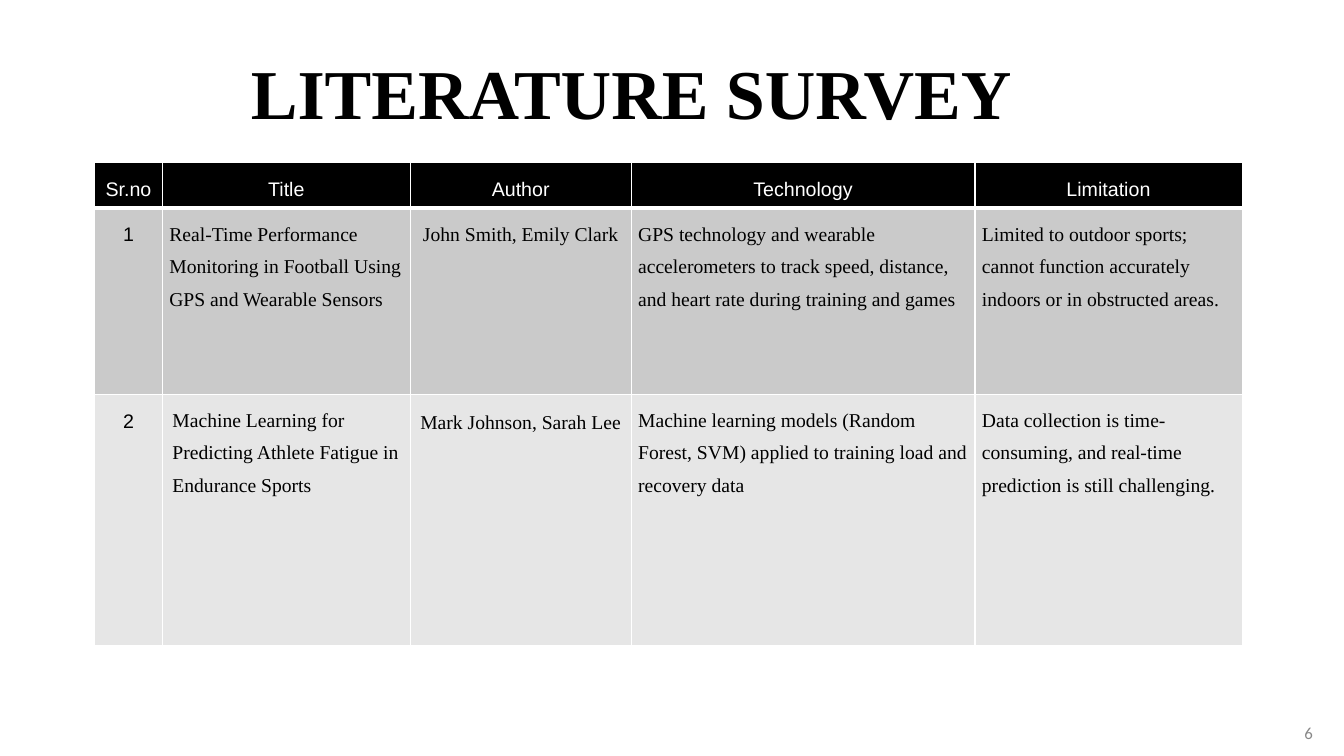
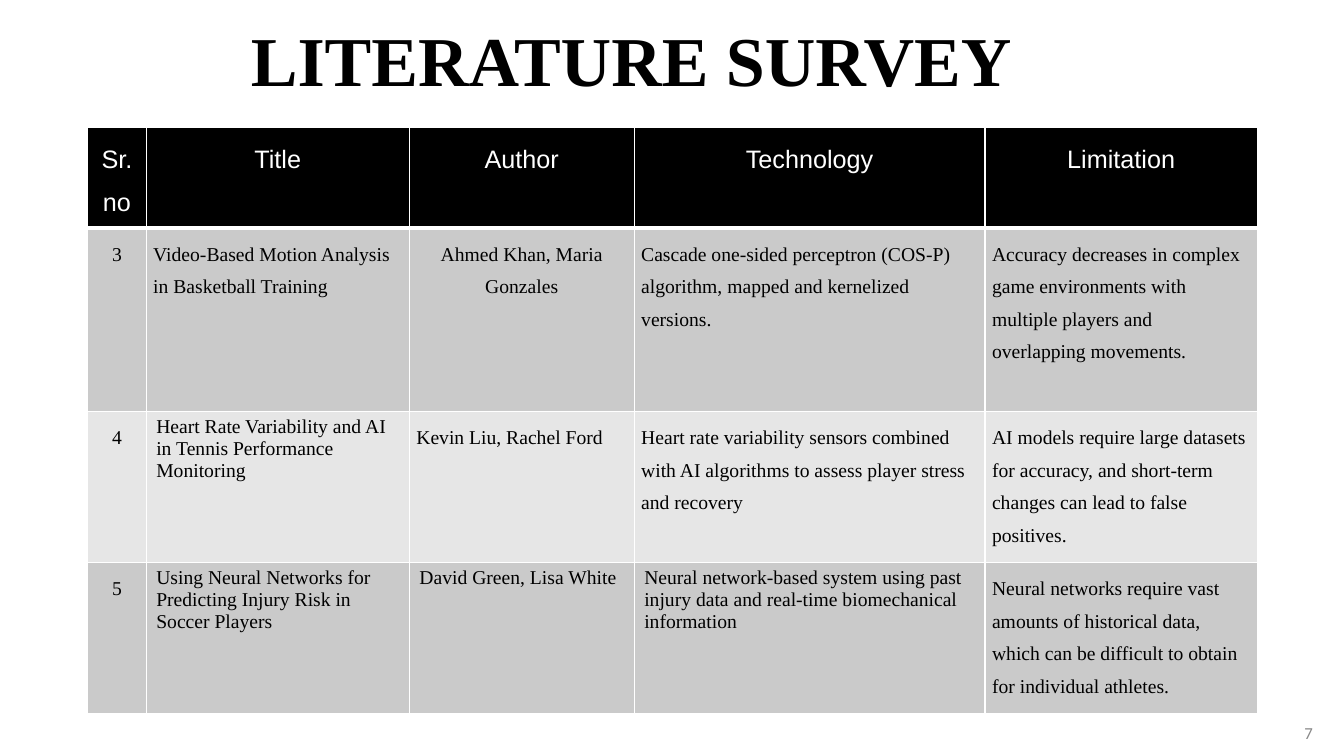
from dataclasses import dataclass

from lxml.etree import SubElement
from pptx import Presentation
from pptx.dml.color import RGBColor
from pptx.enum.text import MSO_ANCHOR as Anchor, PP_ALIGN as Align
from pptx.oxml.ns import qn
from pptx.util import Inches, Pt

BLACK = RGBColor(0, 0, 0)
WHITE = RGBColor(0xFF, 0xFF, 0xFF)
GREY = RGBColor(0x88, 0x88, 0x88)
BANDS = RGBColor(0xCA, 0xCA, 0xCA), RGBColor(0xE6, 0xE6, 0xE6)
SERIF, SANS, FOOTER_FONT = "Times New Roman", "Arial", "Calibri"
HEADERS = ["Sr.no", "Title", "Author", "Technology", "Limitation"]
COLUMN_ALIGNS = [Align.CENTER, Align.LEFT, Align.CENTER, Align.LEFT, Align.LEFT]
BODY_SIZE = 14
RULE, HEADER_RULE = 1, 3


@dataclass
class Entry:
    """Body text whose layout departs from its column."""
    text: str
    spacing: float = 1.5
    margin: float = 0.07
    align: Align = Align.LEFT


@dataclass
class Survey:
    """Content and measures of one survey slide."""
    number: int
    title_top: float
    table_at: tuple
    columns: list
    row_heights: list
    header_size: int
    number_font: str
    rows: list


SURVEYS = [
    Survey(6, 0.62, (0.94, 1.61), [0.67, 2.46, 2.19, 3.41, 2.65],
           [0.4, 1.85, 2.49], 14, SANS, [
        ["1", "Real-Time Performance Monitoring in Football Using GPS and Wearable Sensors",
         "John Smith, Emily Clark",
         "GPS technology and wearable accelerometers to track speed, distance, "
         "and heart rate during training and games",
         "Limited to outdoor sports; cannot function accurately indoors or in obstructed areas."],
        ["2", Entry("Machine Learning for Predicting Athlete Fatigue in Endurance Sports", margin=0.1),
         Entry("Mark Johnson, Sarah Lee", spacing=1.6, align=Align.CENTER),
         "Machine learning models (Random Forest, SVM) applied to training load and recovery data",
         "Data collection is time-consuming, and real-time prediction is still challenging."],
    ]),
    Survey(7, 0.3, (0.87, 1.26), [0.58, 2.61, 2.23, 3.48, 2.7],
           [0.73, 1.82, 1.16, 1.16], 18, SERIF, [
        ["3", "Video-Based Motion Analysis in Basketball Training", "Ahmed Khan, Maria Gonzales",
         "Cascade one-sided perceptron (COS-P) algorithm, mapped and kernelized versions.",
         "Accuracy decreases in complex game environments with multiple players "
         "and overlapping movements."],
        ["4", Entry("Heart Rate Variability and AI in Tennis Performance Monitoring", 1, 0.1),
         Entry("Kevin Liu, Rachel Ford"),
         "Heart rate variability sensors combined with AI algorithms to assess "
         "player stress and recovery",
         "AI models require large datasets for accuracy, and short-term changes "
         "can lead to false positives."],
        ["5", Entry("Using Neural Networks for Predicting Injury Risk in Soccer Players", 1, 0.1),
         Entry("David Green, Lisa White", 1, 0.1),
         Entry("Neural network-based system using past injury data and real-time "
               "biomechanical information", 1, 0.1),
         "Neural networks require vast amounts of historical data, which can be "
         "difficult to obtain for individual athletes."],
    ]),
]


def style_paragraph(para, text, font, size, color, align, bold=False):
    """Write text into a paragraph and style it."""
    para.text = text
    para.alignment = align
    para.font.name, para.font.size, para.font.bold = font, Pt(size), bold
    para.font.color.rgb = color


def add_text(page, bounds, anchor, *style):
    """Add a text box holding one styled paragraph."""
    frame = page.shapes.add_textbox(*map(Inches, bounds)).text_frame
    frame.word_wrap = True
    frame.vertical_anchor = anchor
    style_paragraph(frame.paragraphs[0], *style)


def add_borders(cell, top, bottom):
    """Draw white rules round a cell, with widths in points."""
    properties = cell._tc.get_or_add_tcPr()
    for side, width in (("L", RULE), ("R", RULE), ("T", top), ("B", bottom)):
        line = SubElement(properties, qn(f"a:ln{side}"), w=str(Pt(width)))
        fill = SubElement(line, qn("a:solidFill"))
        SubElement(fill, qn("a:srgbClr"), val=str(WHITE))


def fill_cell(cell, entry, fill, font, size, color):
    """Place an entry in a cell with its fill and type."""
    cell.fill.solid()
    cell.fill.fore_color.rgb = fill
    cell.margin_left = cell.margin_right = Inches(entry.margin)
    cell.margin_top = cell.margin_bottom = Inches(0.05)
    para = cell.text_frame.paragraphs[0]
    style_paragraph(para, entry.text, font, size, color, entry.align)
    para.line_spacing = float(entry.spacing)


def add_survey_table(page, survey):
    """Add the survey table with a black header and banded rows."""
    bounds = *survey.table_at, sum(survey.columns), sum(survey.row_heights)
    table = page.shapes.add_table(len(survey.row_heights), len(HEADERS),
                                  *map(Inches, bounds)).table
    table.first_row = table.horz_banding = False
    for column, width in zip(table.columns, survey.columns):
        column.width = Inches(width)
    for row, height in zip(table.rows, survey.row_heights):
        row.height = Inches(height)
    for r, entries in enumerate([HEADERS, *survey.rows]):
        for c, entry in enumerate(entries):
            cell = table.cell(r, c)
            add_borders(cell, HEADER_RULE if r == 1 else RULE, HEADER_RULE if r == 0 else RULE)
            if r == 0:
                header = Entry(entry, align=Align.CENTER)
                fill_cell(cell, header, BLACK, SANS, survey.header_size, WHITE)
                continue
            if isinstance(entry, str):
                entry = Entry(entry, align=COLUMN_ALIGNS[c])
            font = survey.number_font if c == 0 else SERIF
            fill_cell(cell, entry, BANDS[(r - 1) % 2], font, BODY_SIZE, BLACK)


def add_survey_slide(deck, survey):
    """Add one survey slide with title, number and table."""
    page = deck.slides.add_slide(deck.slide_layouts[6])
    add_text(page, (2.39, survey.title_top, 8.56, 0.75), Anchor.BOTTOM,
             "LITERATURE SURVEY", SERIF, 50, BLACK, Align.LEFT, True)
    add_text(page, (12.63, 7.07, 0.49, 0.4), Anchor.MIDDLE,
             str(survey.number), FOOTER_FONT, 12, GREY, Align.RIGHT)
    add_survey_table(page, survey)


def main():
    """Build and save the deck."""
    deck = Presentation()
    deck.slide_width, deck.slide_height = Inches(13.33), Inches(7.5)
    for survey in SURVEYS:
        add_survey_slide(deck, survey)
    deck.save("out.pptx")


if __name__ == "__main__":
    main()
